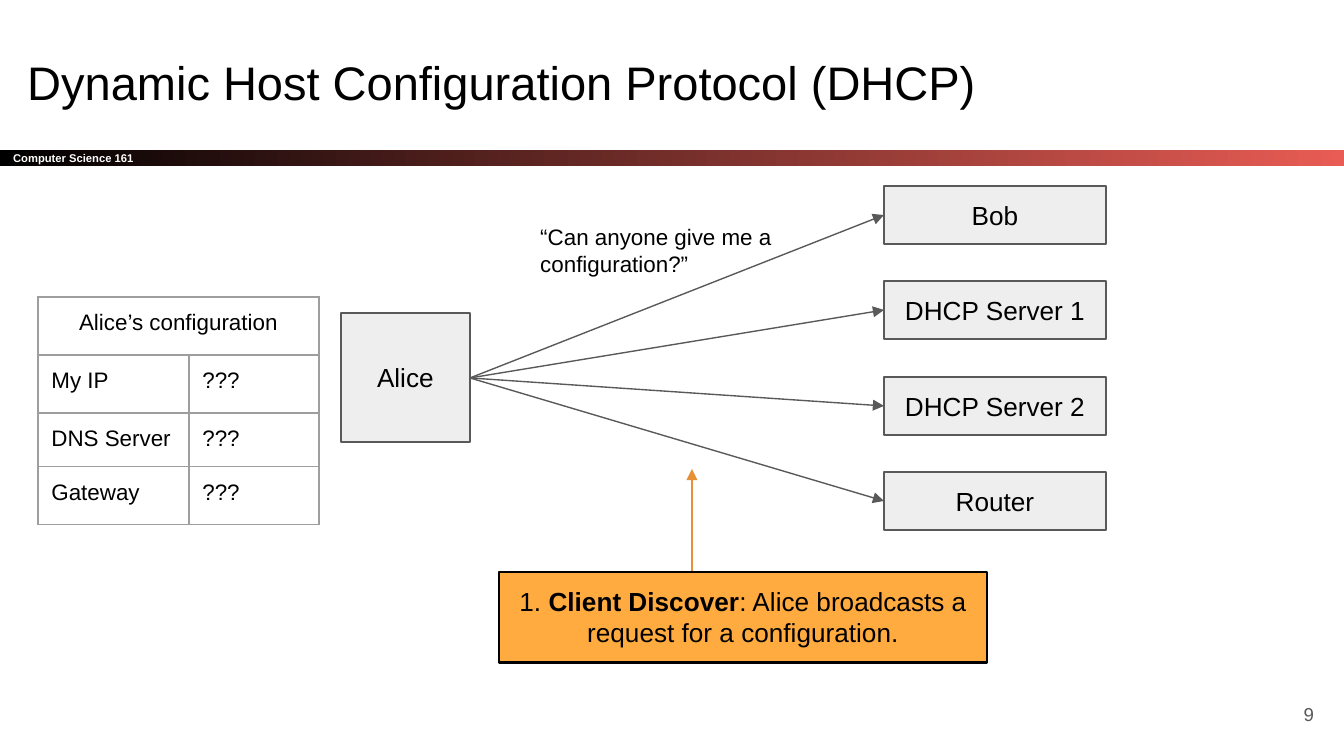
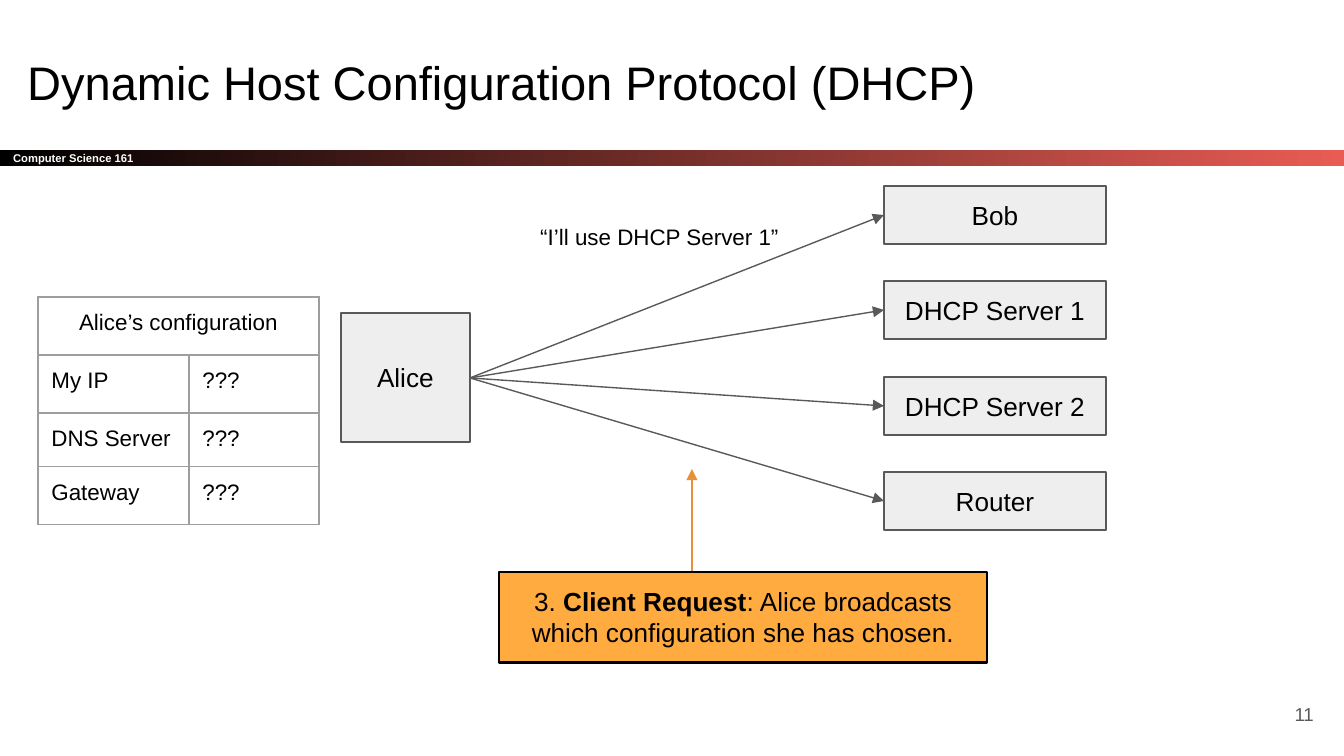
"""Builds two slides on how a DHCP client broadcasts its messages."""
from lxml import etree
from pptx import Presentation, util as u
from pptx.dml.color import RGBColor
from pptx.enum import shapes, text
from pptx.oxml import ns

PX = u.Inches(10) / 1344
PAD = u.Inches(0.1)
BLACK = RGBColor(0, 0, 0)
WHITE = RGBColor(255, 255, 255)
CORAL = RGBColor(0xE8, 0x5C, 0x54)
GREY = RGBColor(0x59, 0x59, 0x59)
PALE = RGBColor(0xEE, 0xEE, 0xEE)
AMBER = RGBColor(0xFF, 0xAB, 0x40)
RUST = RGBColor(0xE6, 0x91, 0x38)
LEFT, MID, RIGHT = text.PP_ALIGN.LEFT, text.PP_ALIGN.CENTER, text.PP_ALIGN.RIGHT
TOP, HALF = text.MSO_ANCHOR.TOP, text.MSO_ANCHOR.MIDDLE

PAGES = [
    ("9", "“Can anyone give me a configuration?”",
     "1. *Client Discover*: Alice broadcasts a request for a configuration."),
    ("11", "“I’ll use DHCP Server 1”",
     "3. *Client Request*: Alice broadcasts which configuration she has chosen."),
]
PEERS = ["Bob", "DHCP Server 1", "DHCP Server 2", "Router"]
ROWS = [("Alice’s configuration", ""), ("My IP", "???"),
        ("DNS Server", "???"), ("Gateway", "???")]


def write(host, words, size=14, color=BLACK, align=LEFT, anchor=TOP, bold=False):
    """Fill a shape or cell with text; words between stars turn bold."""
    frame = host.text_frame
    frame.word_wrap = True
    area = host if hasattr(host, "is_merge_origin") else frame
    area.margin_left = area.margin_right = area.margin_top = area.margin_bottom = PAD
    area.vertical_anchor = anchor
    line = frame.paragraphs[0]
    line.alignment = align
    for i, part in enumerate(words.split("*")):
        run = line.add_run()
        run.text = part
        run.font.name = "Arial"
        run.font.size = u.Pt(size)
        run.font.bold = bold or i % 2 == 1
        run.font.color.rgb = color


def arrow(page, ends, color, width):
    """Draw a straight line with a triangle at its end."""
    line = page.shapes.add_connector(
        shapes.MSO_CONNECTOR.STRAIGHT, *[round(n * PX) for n in ends])
    line.line.color.rgb = color
    line.line.width = u.Pt(width)
    etree.SubElement(line.line._get_or_add_ln(), ns.qn("a:tailEnd"), type="triangle")
    etree.SubElement(line._element.spPr, ns.qn("a:effectLst"))


deck = Presentation()
deck.slide_width = round(1344 * PX)
deck.slide_height = round(756 * PX)

for number, quote, note in PAGES:
    page = deck.slides.add_slide(deck.slide_layouts[6])

    band = page.shapes.add_shape(
        shapes.MSO_SHAPE.RECTANGLE, *[round(n * PX) for n in (0, 150, 1344, 16)])
    band.shadow.inherit = False
    band.line.fill.background()
    band.fill.gradient()
    band.fill.gradient_angle = 0
    for stop, color, spot in zip(band.fill.gradient_stops, (BLACK, CORAL), (0, 1)):
        stop.color.rgb = color
        stop.position = spot
    write(band, "Computer Science 161", size=6, color=WHITE, anchor=HALF, bold=True)

    labels = [
        ((14, 40, 1253, 85), "Dynamic Host Configuration Protocol (DHCP)",
         dict(size=25.2)),
        ((1246, 685, 81, 58), number,
         dict(size=10, color=GREY, align=RIGHT, anchor=HALF)),
        ((527, 210, 277, 82), quote, dict(size=12)),
    ]
    for place, words, style in labels:
        write(page.shapes.add_textbox(*[round(n * PX) for n in place]), words, **style)

    grid = page.shapes.add_table(
        4, 2, *[round(n * PX) for n in (38, 297, 281, 225)]).table
    grid.first_row = grid.horz_banding = False
    for col, width in zip(grid.columns, (151, 130)):
        col.width = round(width * PX)
    for row, height in zip(grid.rows, (58, 58, 51, 58)):
        row.height = round(height * PX)
    grid.cell(0, 0).merge(grid.cell(0, 1))
    for r, row in enumerate(ROWS):
        for c, words in enumerate(row):
            cell = grid.cell(r, c)
            if words:
                write(cell, words, size=12, align=LEFT if r else MID)
            props = cell._tc.get_or_add_tcPr()
            for side in ("lnL", "lnR", "lnT", "lnB"):
                edge = etree.SubElement(props, ns.qn("a:" + side), w=str(u.Pt(0.75)))
                fill = etree.SubElement(edge, ns.qn("a:solidFill"))
                etree.SubElement(fill, ns.qn("a:srgbClr"), val="9E9E9E")
            cell.fill.background()

    arrow(page, (692, 603, 692, 469), RUST, 1.5)
    boxes = [((341, 313, 129, 129), "Alice", PALE, GREY, 0.75, HALF),
             ((499, 572, 488, 91), note, AMBER, BLACK, 1.5, TOP)]
    for i, name in enumerate(PEERS):
        top = 186 + i * 191 // 2
        boxes.append(((884, top, 222, 58), name, PALE, GREY, 0.75, HALF))
        arrow(page, (470, 378, 884, top + 29), GREY, 0.75)
    for place, words, fill, edge, width, anchor in boxes:
        box = page.shapes.add_shape(
            shapes.MSO_SHAPE.RECTANGLE, *[round(n * PX) for n in place])
        box.shadow.inherit = False
        box.fill.solid()
        box.fill.fore_color.rgb = fill
        box.line.color.rgb = edge
        box.line.width = u.Pt(width)
        write(box, words, align=MID, anchor=anchor)

deck.save("out.pptx")
